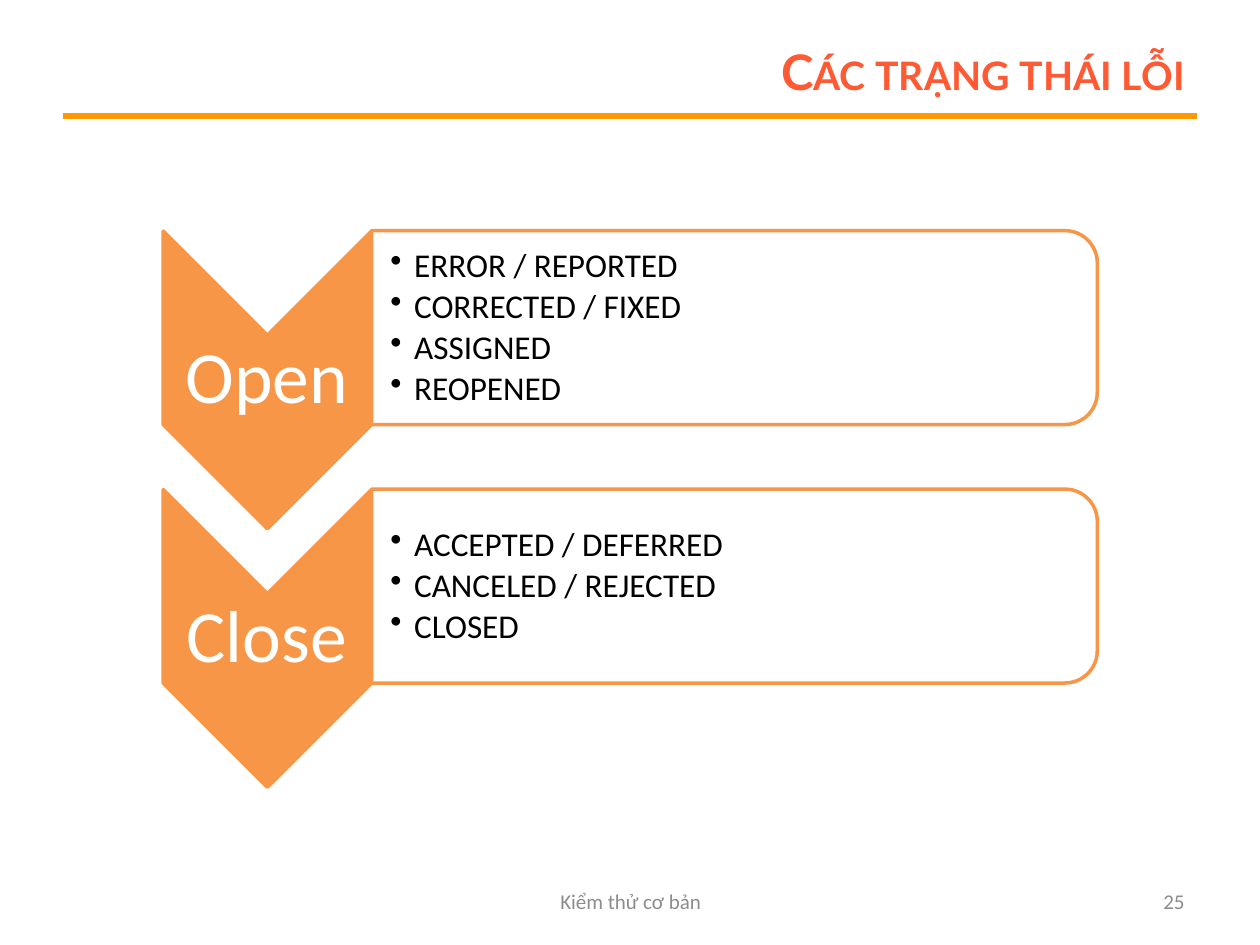
import pptx
import pptx.util
import pptx.dml.color
import pptx.enum.shapes
import pptx.enum.text
import pptx.oxml.ns
import lxml.etree

Cm, Pt = pptx.util.Cm, pptx.util.Pt
RGBColor = pptx.dml.color.RGBColor
MSO_SHAPE = pptx.enum.shapes.MSO_SHAPE
PP_ALIGN = pptx.enum.text.PP_ALIGN
qn = pptx.oxml.ns.qn

ORANGE = RGBColor(0xF7, 0x96, 0x46)
RULE_ORANGE = RGBColor(0xFF, 0x99, 0x00)
TITLE_RED = RGBColor(0xFF, 0x5A, 0x33)
WHITE = RGBColor(0xFF, 0xFF, 0xFF)
BLACK = RGBColor(0, 0, 0)
GREY = RGBColor(0x8C, 0x8C, 0x8C)

STATES = [
    ("Open", ["ERROR / REPORTED", "CORRECTED / FIXED", "ASSIGNED", "REOPENED"]),
    ("Close", ["ACCEPTED / DEFERRED", "CANCELED / REJECTED", "CLOSED"]),
]
PITCH = 5.21

prs = pptx.Presentation()
prs.slide_width, prs.slide_height = Cm(25.4), Cm(19.05)
s = prs.slides.add_slide(prs.slide_layouts[6])


def add_text(box, lines, size, color, align, font="Calibri", insets=(0.25, 0.13, 0.25, 0.13)):
    """Add a middle-anchored text box; box and insets are in cm, left and top first."""
    tf = s.shapes.add_textbox(*[Cm(v) for v in box]).text_frame
    tf.word_wrap = True
    tf.vertical_anchor = pptx.enum.text.MSO_ANCHOR.MIDDLE
    tf.margin_left, tf.margin_top, tf.margin_right, tf.margin_bottom = [Cm(v) for v in insets]
    tf.text = "\n".join(lines)
    for p in tf.paragraphs:
        p.alignment = align
        f = p.runs[0].font
        f.name, f.size = font, Pt(size)
        f.color.rgb = color
    return tf


def add_rotated(kind, box, fill):
    sp = s.shapes.add_shape(kind, *[Cm(v) for v in box])
    sp.rotation = 90
    sp.shadow.inherit = False
    sp.fill.solid()
    sp.fill.fore_color.rgb = fill
    sp.line.color.rgb = ORANGE
    sp.line.width = Pt(2)
    return sp


# Header
rule = s.shapes.add_connector(pptx.enum.shapes.MSO_CONNECTOR.STRAIGHT,
                              Cm(1.27), Cm(2.34), Cm(24.13), Cm(2.34))
rule.line.color.rgb = RULE_ORANGE
rule.line.width = Pt(3)
lxml.etree.SubElement(rule._element.spPr, qn("a:effectLst"))

tf = add_text((5.72, 0.76, 18.41, 1.35), ["Các trạng thái lỗi"], 28, TITLE_RED,
              PP_ALIGN.RIGHT, font="Lato")
r = tf.paragraphs[0].runs[0]
r.font.bold = True
r.font._element.set("cap", "small")

# State groups
for i, (state, details) in enumerate(STATES):
    dy = i * PITCH
    add_rotated(MSO_SHAPE.CHEVRON, (2.39, 5.56 + dy, 6, 4.2), ORANGE)
    tf = add_text((3.28, 6.76 + dy, 4.2, 1.8), [state], 42, WHITE, PP_ALIGN.CENTER,
                  insets=(0.08, 0.08, 0.08, 0.08))
    tf.paragraphs[0].line_spacing = 0.9

    panel = add_rotated(MSO_SHAPE.ROUND_2_SAME_RECTANGLE,
                        (12.85, -0.71 + dy, 3.91, 14.63), WHITE)
    white = panel._element.spPr.find(qn("a:solidFill"))[0]
    lxml.etree.SubElement(white, qn("a:alpha")).set("val", "90000")

    tf = add_text((7.49, 4.85 + dy, 14.45, 3.53), details, 19, BLACK, PP_ALIGN.LEFT,
                  insets=(0.38, 0.03, 0.03, 0.03))
    for p in tf.paragraphs:
        p.line_spacing = 0.9
        p.space_after = Pt(2.8)
        pPr = p._p.get_or_add_pPr()
        pPr.set("marL", str(Cm(0.48)))
        pPr.set("indent", str(-Cm(0.48)))
        lxml.etree.SubElement(pPr, qn("a:buChar")).set("char", "•")

# Footer
add_text((8.69, 17.65, 8.05, 1.02), ["Kiểm thử cơ bản"], 12, GREY, PP_ALIGN.CENTER)
add_text((18.21, 17.65, 5.92, 1.02), ["25"], 12, GREY, PP_ALIGN.RIGHT)

prs.save("out.pptx")
